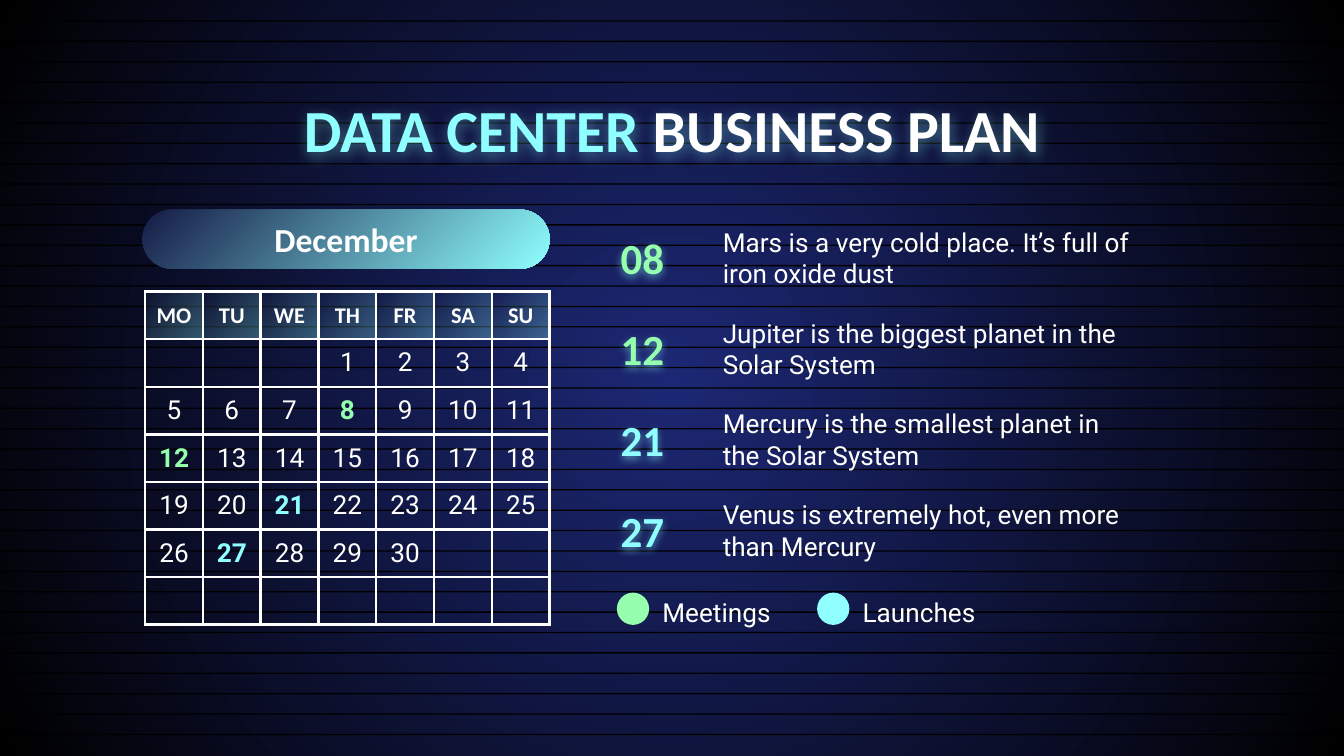
from pptx import Presentation
from pptx.dml.color import RGBColor
from pptx.enum.shapes import MSO_SHAPE
from pptx.enum.text import MSO_ANCHOR, MSO_AUTO_SIZE, PP_ALIGN
from pptx.oxml import parse_xml
from pptx.oxml.ns import nsdecls, qn
from pptx.util import Inches, Pt

WHITE, BLACK, NAVY, BLUE = "FFFFFF", "000000", "151B46", "1D2875"
GREEN, CYAN = "95FFAE", "8FFFFF"
HEAD, BODY = "Calibri", "Roboto"
WIDTH, HEIGHT = 10, 10 * 9 / 16

TITLE = [("DATA CENTER ", CYAN), ("BUSINESS PLAN", WHITE)]
MONTH = "December"
WEEKDAYS = ["MO", "TU", "WE", "TH", "FR", "SA", "SU"]
FIRST_COLUMN, DAYS, WEEKS = 3, 30, 6
EVENTS = [
    (8, "Mars is a very cold place. It’s full of iron oxide dust", GREEN),
    (12, "Jupiter is the biggest planet in the Solar System", GREEN),
    (21, "Mercury is the smallest planet in the Solar System", CYAN),
    (27, "Venus is extremely hot, even more than Mercury", CYAN),
]
LEGEND = [("Meetings", GREEN), ("Launches", CYAN)]

STRIPES, STRIPE_END = 36, 5.46
TABLE_BOX = (1.08, 2.17, 3.01, 2.48)
EVENT_TOP, EVENT_LAST, EVENT_H = 1.6, 3.63, 0.63
LEGEND_LEFT, LEGEND_STEP, DOT = 4.59, 1.49, 0.24


def rgb(color):
    return RGBColor.from_string(color)


def box(*lengths):
    return [Inches(v) for v in lengths]


def set_gradient(fill, parent, start, end, direction, alpha=100):
    """Replace the fill held in parent by a two-stop gradient."""
    fill.solid()
    stops = "".join(
        f'<a:gs pos="{pos}"><a:srgbClr val="{color}">'
        f'<a:alpha val="{alpha * 1000}"/></a:srgbClr></a:gs>'
        for pos, color in ((0, start), (100000, end)))
    grad = parse_xml(f'<a:gradFill {nsdecls("a")} rotWithShape="1">'
                     f'<a:gsLst>{stops}</a:gsLst>{direction}</a:gradFill>')
    old = next(parent.iter(qn("a:solidFill")))
    old.getparent().replace(old, grad)


def add_glow(sp, blur, alpha):
    sp.shadow.inherit = False
    effects = sp.element.spPr.find(qn("a:effectLst"))
    effects.append(parse_xml(
        f'<a:outerShdw {nsdecls("a")} blurRad="{Pt(blur)}" dist="19050" '
        f'dir="5400000" algn="bl" rotWithShape="0"><a:srgbClr val="{CYAN}">'
        f'<a:alpha val="{alpha * 1000}"/></a:srgbClr></a:outerShdw>'))


def set_font(font, name, size, color, bold=False):
    font.name, font.size, font.bold = name, Pt(size), bold
    font.color.rgb = rgb(color)


def write(tf, text, name, size, color, bold=False, align=PP_ALIGN.LEFT,
          anchor=MSO_ANCHOR.MIDDLE):
    tf.word_wrap, tf.vertical_anchor = True, anchor
    tf.margin_left = tf.margin_right = Inches(0.1)
    tf.margin_top = tf.margin_bottom = Inches(0.1)
    p = tf.paragraphs[0]
    p.text, p.alignment = text, align
    set_font(p.font, name, size, color, bold)
    return p


def add_text(place, *args, **kwargs):
    sp = slide.shapes.add_textbox(*box(*place))
    write(sp.text_frame, *args, **kwargs)
    return sp


def add_shape(kind, place, color):
    sp = slide.shapes.add_shape(kind, *box(*place))
    sp.shadow.inherit = False
    sp.fill.solid()
    sp.fill.fore_color.rgb = rgb(color)
    sp.line.fill.background()
    return sp


def set_borders(cell, color, width):
    for i, side in enumerate(("lnL", "lnR", "lnT", "lnB")):
        cell._tc.tcPr.insert(i, parse_xml(
            f'<a:{side} {nsdecls("a")} w="{Pt(width)}"><a:solidFill>'
            f'<a:srgbClr val="{color}"/></a:solidFill></a:{side}>'))


def fill_cell(cell, text, name, size, color, bold):
    cell.margin_left = cell.margin_right = 0
    cell.margin_top = cell.margin_bottom = 0
    cell.vertical_anchor = MSO_ANCHOR.MIDDLE
    p = cell.text_frame.paragraphs[0]
    p.text, p.alignment = text, PP_ALIGN.CENTER
    set_font(p.font, name, size, color, bold)


prs = Presentation()
prs.slide_width, prs.slide_height = box(WIDTH, HEIGHT)
slide = prs.slides.add_slide(prs.slide_layouts[5])

# Background
DIAGONAL = '<a:lin ang="2700000" scaled="0"/>'
RADIAL = ('<a:path path="circle"><a:fillToRect l="50000" t="50000" '
          'r="50000" b="50000"/></a:path>')
set_gradient(slide.background.fill, slide.element, BLUE, BLACK, RADIAL)
for i in range(STRIPES):
    top = STRIPE_END * (i + 1) / STRIPES
    add_shape(MSO_SHAPE.RECTANGLE, (0, top, WIDTH, 0.01), BLACK)

# Title, in front of the stripes
title = slide.shapes.title
slide.shapes.element.append(title.element)
title.left, title.top, title.width, title.height = box(0.78, 0.59, 8.44, 0.62)
title.text_frame.auto_size = MSO_AUTO_SIZE.NONE
p = write(title.text_frame, "", HEAD, 32, WHITE, True, PP_ALIGN.CENTER,
          MSO_ANCHOR.TOP)
for text, color in TITLE:
    r = p.add_run()
    r.text = text
    r.font.color.rgb = rgb(color)
add_glow(title, 7, 38)

# Calendar
columns = len(WEEKDAYS)
table = slide.shapes.add_table(WEEKS + 1, columns, *box(*TABLE_BOX)).table
table.horz_banding = table.first_row = False
for col, name in enumerate(WEEKDAYS):
    cell = table.cell(0, col)
    fill_cell(cell, name, HEAD, 12, WHITE, True)
    set_gradient(cell.fill, cell._tc.tcPr, NAVY, CYAN, DIAGONAL, 31)
    set_borders(cell, WHITE, 1.5)
marked = {day: color for day, _, color in EVENTS}
for i in range(WEEKS * columns):
    cell = table.cell(i // columns + 1, i % columns)
    day = i - FIRST_COLUMN + 1
    text = str(day) if 1 <= day <= DAYS else ""
    fill_cell(cell, text, BODY, 14, marked.get(day, WHITE), day in marked)
    cell.fill.background()
    set_borders(cell, WHITE, 1.5)

# Events
step = (EVENT_LAST - EVENT_TOP) / (len(EVENTS) - 1)
for i, (day, text, color) in enumerate(EVENTS):
    top = EVENT_TOP + i * step
    add_text((5.28, top, 3.24, EVENT_H), text, BODY, 14, WHITE)
    number = add_text((4.28, top, 1, EVENT_H), f"{day:02}", HEAD, 23, color,
                      True, PP_ALIGN.CENTER)
    add_glow(number, 4.5, 50)

# Month
pill = add_shape(MSO_SHAPE.ROUNDED_RECTANGLE, (1.06, 1.56, 3.03, 0.44), NAVY)
pill.adjustments[0] = 0.5
set_gradient(pill.fill, pill.element.spPr, NAVY, CYAN, DIAGONAL)
write(pill.text_frame, MONTH, HEAD, 18, WHITE, True, PP_ALIGN.CENTER)

# Legend
for i, (text, color) in enumerate(LEGEND):
    left = LEGEND_LEFT + i * LEGEND_STEP
    add_shape(MSO_SHAPE.OVAL, (left, 4.41, DOT, DOT), color)
    label = add_text((left + DOT, 4.37, 1.12, 0.33), text, BODY, 14, WHITE)
    label.text_frame.margin_right = 0
    label.text_frame.paragraphs[0].line_spacing = 1.15

prs.save("out.pptx")
